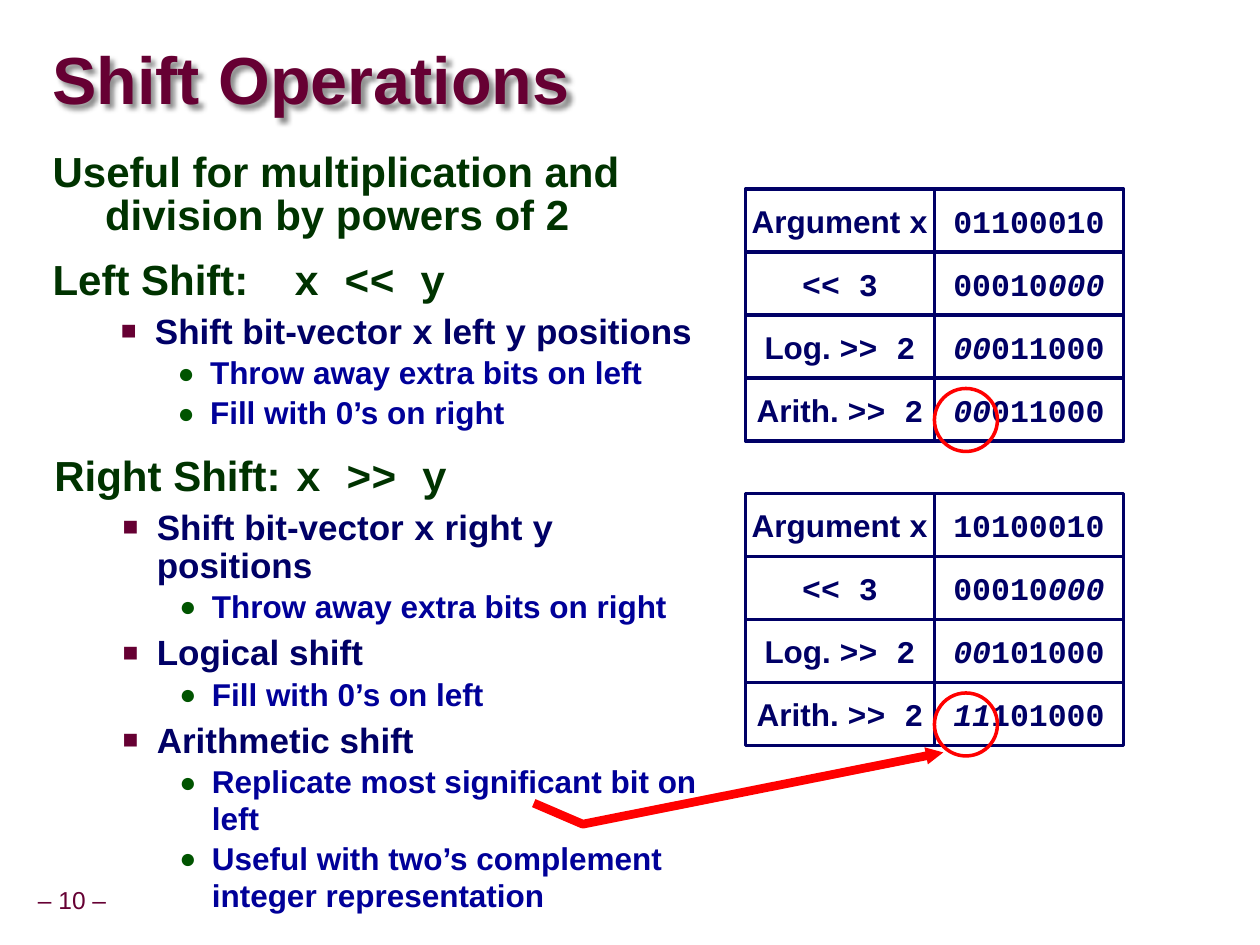
from lxml import etree
from pptx import Presentation
from pptx.dml.color import RGBColor
from pptx.enum import shapes, text
from pptx.oxml import ns
from pptx.util import Pt

SANS, MONO = "Arial", "Courier New"
MAROON, GREEN, NAVY, RED = "660033", "003300", "000066", "FF0000"
LEVELS = [
    dict(size=24, color=GREEN, line=0.85, before=13, left=30, indent=-30, bullet=None),
    dict(size=20, color=NAVY, line=0.9, before=5.5, left=58.5, indent=-19.5,
         bullet=("■", MAROON, 75)),
    dict(size=18, color="000099", line=0.97, before=2, left=90, indent=-18.5,
         bullet=("●", "005400", 90)),
]


def color(value):
    """Turn a hex string into a colour."""
    return RGBColor.from_string(value)


def add_xml(parent, tag, **attributes):
    """Append a DrawingML element."""
    return etree.SubElement(parent, ns.qn(tag), attributes)


def add_run(paragraph, words, size, hue, font=SANS, bold=True, italic=False):
    """Append one formatted run."""
    run = paragraph.add_run()
    run.text = words
    run.font.name, run.font.size = font, Pt(size)
    run.font.bold, run.font.italic = bold, italic
    run.font.color.rgb = color(hue)


def add_textbox(slide, left, top, width, height, margins=(0, 0)):
    """Add a wrapping text box and return it."""
    shape = slide.shapes.add_textbox(Pt(left), Pt(top), Pt(width), Pt(height))
    frame = shape.text_frame
    frame.word_wrap = True
    frame.margin_left = frame.margin_right = Pt(margins[0])
    frame.margin_top = frame.margin_bottom = Pt(margins[1])
    return shape


def add_title(slide, words):
    """Add the title with its soft shadow."""
    shape = add_textbox(slide, 30, 25, 477, 45.5)
    shape.text_frame.vertical_anchor = text.MSO_ANCHOR.MIDDLE
    paragraph = shape.text_frame.paragraphs[0]
    paragraph.line_spacing = 0.87
    add_run(paragraph, words, 38, MAROON)
    effects = add_xml(shape._element.spPr, "a:effectLst")
    shadow = add_xml(effects, "a:outerShdw", blurRad="38100", dist="38100", dir="2700000")
    add_xml(add_xml(shadow, "a:srgbClr", val="000000"), "a:alpha", val="43000")


def add_page_number(slide, words):
    """Add the page number at the lower left."""
    shape = add_textbox(slide, 17.5, 504, 47.5, 22.5, (3.6, 3.6))
    frame = shape.text_frame
    frame.word_wrap = False
    frame.vertical_anchor = text.MSO_ANCHOR.MIDDLE
    paragraph = frame.paragraphs[0]
    paragraph.alignment = text.PP_ALIGN.CENTER
    paragraph.line_spacing = 0.9
    add_run(paragraph, words, 14, MAROON, bold=False)


def add_outline(slide, left, top, width, height, items):
    """Add a multi-level outline of (level, runs) items."""
    frame = add_textbox(slide, left, top, width, height, (7.2, 3.6)).text_frame
    for index, (level, runs) in enumerate(items):
        style = LEVELS[level]
        paragraph = frame.add_paragraph() if index else frame.paragraphs[0]
        paragraph.level = level
        paragraph.line_spacing = style["line"]
        paragraph.space_before = Pt(style["before"] if index else 0)
        properties = paragraph._p.get_or_add_pPr()
        properties.set("marL", str(Pt(style["left"])))
        properties.set("indent", str(Pt(style["indent"])))
        if style["bullet"]:
            character, hue, percent = style["bullet"]
            add_xml(add_xml(properties, "a:buClr"), "a:srgbClr", val=hue)
            add_xml(properties, "a:buSzPct", val=str(percent * 1000))
            add_xml(properties, "a:buFont", typeface=SANS)
            add_xml(properties, "a:buChar", char=character)
        for words, font in runs:
            add_run(paragraph, words, style["size"], style["color"], font)


def add_outlined(slide, kind, left, top, width, height, hue):
    """Add an unfilled preset shape with a 2 pt outline."""
    shape = slide.shapes.add_shape(kind, Pt(left), Pt(top), Pt(width), Pt(height))
    shape.shadow.inherit = False
    shape.fill.background()
    shape.line.color.rgb = color(hue)
    shape.line.width = Pt(2)
    return shape


def add_cell(slide, left, top, runs):
    """Add one white cell holding (words, font, italic) runs."""
    shape = add_outlined(slide, shapes.MSO_SHAPE.RECTANGLE, left, top, 108, 36, NAVY)
    shape.fill.solid()
    shape.fill.fore_color.rgb = color("FFFFFF")
    frame = shape.text_frame
    frame.word_wrap = False
    frame.vertical_anchor = text.MSO_ANCHOR.MIDDLE
    paragraph = frame.paragraphs[0]
    paragraph.alignment = text.PP_ALIGN.CENTER
    for words, font, italic in runs:
        add_run(paragraph, words, 18, NAVY, font, italic=italic)


def add_bit_grid(slide, top, values):
    """Add a grid of shift results and circle the last row's fill bits."""
    labels = [[("Argument ", SANS, False), ("x", MONO, False)],
              [("<< 3", MONO, False)],
              [("Log. ", SANS, False), (">> 2", MONO, False)],
              [("Arith. ", SANS, False), (">> 2", MONO, False)]]
    for row, (label, value) in enumerate(zip(labels, values)):
        row_top = top + 36 * row
        add_cell(slide, 426, row_top, label)
        add_cell(slide, 534, row_top, [(bits, MONO, italic) for bits, italic in value])
    add_outlined(slide, shapes.MSO_SHAPE.OVAL, 534, top + 114, 36, 36, RED)


def add_arrow(slide, points):
    """Add a bent red arrow through the points."""
    start, *rest = [(Pt(x), Pt(y)) for x, y in points]
    builder = slide.shapes.build_freeform(*start)
    builder.add_line_segments(rest, close=False)
    shape = builder.convert_to_shape()
    shape.shadow.inherit = False
    shape.fill.background()
    shape.line.color.rgb = color(RED)
    shape.line.width = Pt(5)
    add_xml(shape.line._get_or_add_ln(), "a:tailEnd", type="triangle", w="sm", len="sm")


def main():
    """Build and save the slide."""
    presentation = Presentation()
    presentation.slide_width, presentation.slide_height = Pt(720), Pt(540)
    slide = presentation.slides.add_slide(presentation.slide_layouts[6])
    add_page_number(slide, "– 10 –")
    add_title(slide, "Shift Operations")
    add_outline(slide, 23, 84, 391, 114, [
        (0, [("Useful for multiplication and division by powers of 2", SANS)]),
        (0, [("Left Shift: \t", SANS), ("x << y", MONO)]),
        (1, [("Shift bit-vector ", SANS), ("x", MONO), (" left ", SANS),
             ("y", MONO), (" positions", SANS)]),
        (2, [("Throw away extra bits on left", SANS)]),
        (2, [("Fill with 0’s on right", SANS)]),
    ])
    add_outline(slide, 24, 258, 391, 261, [
        (0, [("Right Shift: \t", SANS), ("x >> y", MONO)]),
        (1, [("Shift bit-vector ", SANS), ("x", MONO), (" right ", SANS),
             ("y", MONO), (" positions", SANS)]),
        (2, [("Throw away extra bits on right", SANS)]),
        (1, [("Logical shift", SANS)]),
        (2, [("Fill with 0’s on left", SANS)]),
        (1, [("Arithmetic shift", SANS)]),
        (2, [("Replicate most significant bit on left", SANS)]),
        (2, [("Useful with two’s complement integer representation", SANS)]),
    ])
    add_bit_grid(slide, 108, [
        [("01100010", False)], [("00010", False), ("000", True)],
        [("00", True), ("011000", False)], [("00", True), ("011000", False)]])
    add_bit_grid(slide, 282, [
        [("10100010", False)], [("00010", False), ("000", True)],
        [("00", True), ("101000", False)], [("11", True), ("101000", False)]])
    add_arrow(slide, [(305, 459), (333, 471), (539, 430)])
    presentation.save("out.pptx")


main()
